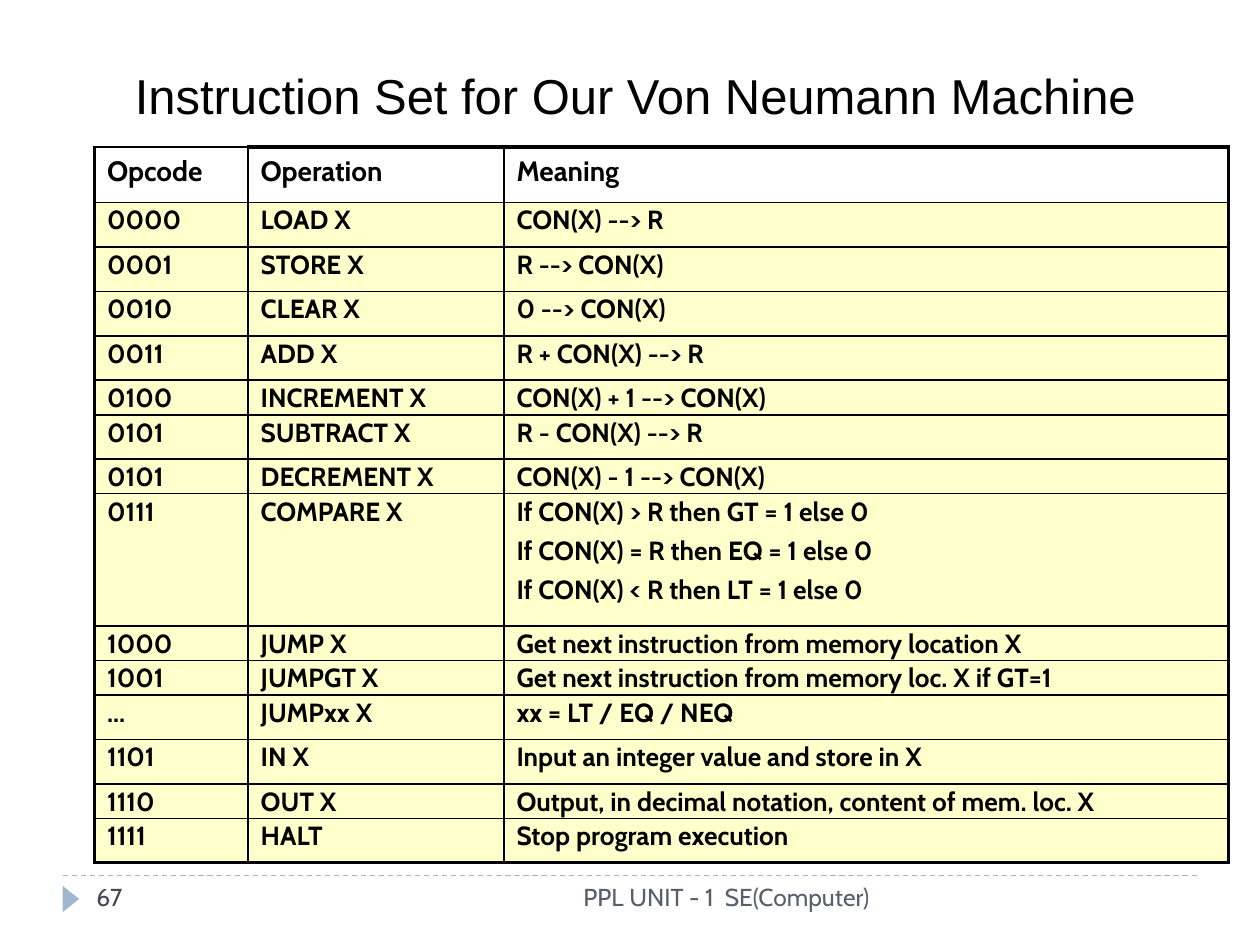
from lxml import etree
from pptx import Presentation
from pptx import util as u
from pptx.dml.color import RGBColor
from pptx.enum import dml, shapes, text
from pptx.oxml import ns

BLACK = RGBColor(0x00, 0x00, 0x00)
CREAM = RGBColor(0xFF, 0xFF, 0xCC)
STEEL = RGBColor(0x9F, 0xB8, 0xCD)
SLATE = RGBColor(0x46, 0x46, 0x53)
GRAY = RGBColor(0x57, 0x5F, 0x6D)

HEADER, TALL, SHORT, COMPARE = 31.7, 25.4, 19.7, 75.5
COLUMNS = [87.8, 146.2, 414]
ROWS = [
    (HEADER, "Opcode", "Operation", "Meaning"),
    (TALL, "0000", "LOAD X", "CON(X) --> R"),
    (TALL, "0001", "STORE X", "R --> CON(X)"),
    (TALL, "0010", "CLEAR X", "0 --> CON(X)"),
    (TALL, "0011", "ADD X", "R + CON(X) --> R"),
    (SHORT, "0100", "INCREMENT X", "CON(X) + 1 --> CON(X)"),
    (TALL, "0101", "SUBTRACT X", "R - CON(X) --> R"),
    (SHORT, "0101", "DECREMENT X", "CON(X) - 1 --> CON(X)"),
    (COMPARE, "0111", "COMPARE X",
     "If CON(X) > R then GT = 1 else 0\n"
     "If CON(X) = R then EQ = 1 else 0\n"
     "If CON(X) < R then LT = 1 else 0"),
    (SHORT, "1000", "JUMP X", "Get next instruction from memory location X"),
    (SHORT, "1001", "JUMPGT X", "Get next instruction from memory loc. X if GT=1"),
    (TALL, "...", "JUMPxx X", "xx = LT / EQ / NEQ"),
    (TALL, "1101", "IN X", "Input an integer value and store in X"),
    (SHORT, "1110", "OUT X", "Output, in decimal notation, content of mem. loc. X"),
    (TALL, "1111", "HALT", "Stop program execution"),
]


class Deck:
    """Holds the text style and the current slide, and draws each kind of element."""

    def __init__(self, prs, font="Cabin", thin=1, thick=2.25):
        self.font, self.thin, self.thick = font, thin, thick
        self.s = prs.slides.add_slide(prs.slide_layouts[6])

    def style(self, p, size, color, bold=False, font=None):
        p.font.name = font or self.font
        p.font.size = u.Pt(size)
        p.font.bold = bold
        p.font.color.rgb = color

    def label(self, box, words, size, color, align, anchor=text.MSO_ANCHOR.TOP, font=None):
        tf = self.s.shapes.add_textbox(*map(u.Pt, box)).text_frame
        tf.word_wrap = True
        tf.vertical_anchor = anchor
        p = tf.paragraphs[0]
        p.text = words
        p.alignment = align
        self.style(p, size, color, font=font)

    def rule(self, x1, y1, x2, y2, color):
        sp = self.s.shapes.add_connector(
            shapes.MSO_CONNECTOR.STRAIGHT, *map(u.Pt, (x1, y1, x2, y2)))
        sp.line.color.rgb = color
        sp.line.width = u.Pt(0.75)
        sp.line.dash_style = dml.MSO_LINE.DASH
        etree.SubElement(sp._element.spPr, ns.qn("a:effectLst"))

    def marker(self, box, color):
        sp = self.s.shapes.add_shape(
            shapes.MSO_SHAPE.ISOSCELES_TRIANGLE, *map(u.Pt, box))
        sp.rotation = 90
        sp.shadow.inherit = False
        sp.fill.solid()
        sp.fill.fore_color.rgb = color
        sp.line.fill.background()

    def border(self, cell, side, width):
        tc_pr = cell._tc.get_or_add_tcPr()
        ln = etree.SubElement(tc_pr, ns.qn(f"a:ln{side}"), w=str(u.Pt(width)))
        fill = etree.SubElement(ln, ns.qn("a:solidFill"))
        etree.SubElement(fill, ns.qn("a:srgbClr"), val=str(BLACK))

    def cell(self, cell, words, header):
        cell.margin_left = cell.margin_right = u.Pt(7.2)
        cell.margin_top = u.Pt(4.3 if header else 1.4)
        cell.margin_bottom = u.Pt(3.6 if header else 0.7)
        cell.text = words
        for i, p in enumerate(cell.text_frame.paragraphs):
            p.line_spacing = 0.98
            p.space_before = u.Pt(4.5 if i else 0)
            self.style(p, 16 if header else 15, BLACK, bold=True)
        if header:
            cell.fill.background()
        else:
            cell.fill.solid()
            cell.fill.fore_color.rgb = CREAM

    def table(self, x, y, columns, rows):
        last_row, last_col = len(rows) - 1, len(columns) - 1
        height = sum(row[0] for row in rows)
        table = self.s.shapes.add_table(
            len(rows), len(columns), *map(u.Pt, (x, y, sum(columns), height))).table
        table.first_row = table.horz_banding = False
        for column, width in zip(table.columns, columns):
            column.width = u.Pt(width)
        for r, (row_height, *words) in enumerate(rows):
            table.rows[r].height = u.Pt(row_height)
            for c, word in enumerate(words):
                cell = table.cell(r, c)
                edges = {"L": c == 0, "R": c == last_col,
                         "T": r == 0 and c > 0, "B": r == last_row}
                for side, outer in edges.items():
                    self.border(cell, side, self.thick if outer else self.thin)
                self.cell(cell, word, header=r == 0)


def main():
    prs = Presentation()
    prs.slide_width, prs.slide_height = u.Pt(720), u.Pt(540)
    deck = Deck(prs)
    deck.rule(36, 500.4, 684, 500.4, STEEL)
    deck.marker((33, 509, 15, 9.4), STEEL)
    deck.label((30, 12, 666, 84), "Instruction Set for Our Von Neumann Machine",
               28, BLACK, text.PP_ALIGN.CENTER, text.MSO_ANCHOR.MIDDLE, "Arial")
    deck.table(54, 84, COLUMNS, ROWS)
    deck.label((48, 500.4, 156, 28.8), "67", 14, SLATE, text.PP_ALIGN.LEFT)
    deck.label((228, 500.4, 276, 28.8), "PPL UNIT - 1  SE(Computer)",
               14, GRAY, text.PP_ALIGN.RIGHT)
    prs.save("out.pptx")


if __name__ == "__main__":
    main()
